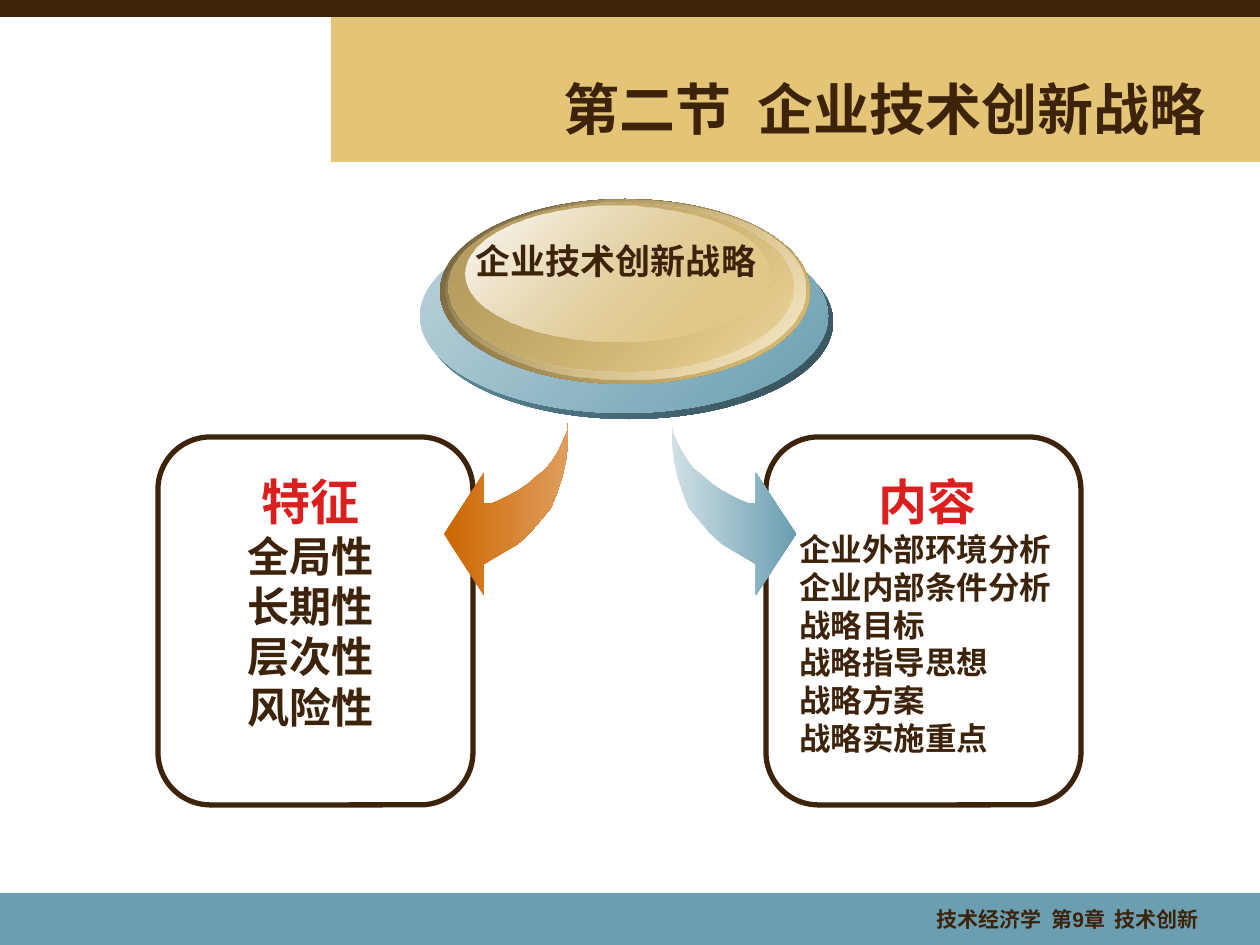
from lxml import etree
from pptx import Presentation
from pptx.dml.color import RGBColor
from pptx.enum.shapes import MSO_SHAPE as Shape
from pptx.enum.text import MSO_ANCHOR as Anchor, MSO_AUTO_SIZE as AutoSize, PP_ALIGN as Align
from pptx.oxml.ns import qn
from pptx.util import Pt

EMU_PER_PX = 914400 / 126
FONT = "Arial"

BROWN = RGBColor(0x3C, 0x23, 0x0A)
GOLD = RGBColor(0xE4, 0xC5, 0x78)
BLUE = RGBColor(0x6A, 0x9E, 0xB0)
RED = RGBColor(0xDB, 0x1F, 0x1F)
WHITE = RGBColor(0xFF, 0xFF, 0xFF)
ORANGE = RGBColor(0xCC, 0x66, 0x00)
LIGHT_ORANGE = RGBColor(0xDF, 0x9E, 0x5D)
PALE_BLUE = RGBColor(0xD0, 0xE0, 0xE6)
SOFT_BLUE = RGBColor(0xBD, 0xD4, 0xDC)
DARK_BLUE = RGBColor(0x34, 0x4D, 0x56)
DARK_GOLD = RGBColor(0x6A, 0x5B, 0x38)
DULL_GOLD = RGBColor(0xB5, 0x9C, 0x5F)
CREAM = RGBColor(0xF6, 0xEB, 0xD0)

# Layers of the disc, back to front: box, start and end colour, start and end opacity
DISC_LAYERS = [
    ((425, 225, 408, 194), BLUE, DARK_BLUE, 100, 100),
    ((420, 219, 408, 194), SOFT_BLUE, BLUE, 100, 100),
    ((440, 199, 370, 185), DARK_GOLD, GOLD, 100, 100),
    ((445, 200, 360, 180), GOLD, CREAM, 0, 100),
    ((449, 203, 344, 169), DULL_GOLD, GOLD, 100, 48),
    ((466, 206, 302, 136), WHITE, GOLD, 100, 38),
]

# Outline of the left arrow; the right one is its mirror image
ARROW = [
    (568, 423), (568, 444), (566, 461), (562, 478), (557, 493), (551, 508),
    (541, 520), (530, 533), (518, 544), (501, 554), (484, 564), (484, 595),
    (444, 534), (484, 473), (484, 504), (493, 503), (500, 500), (510, 495),
    (519, 490), (528, 484), (537, 476), (546, 469), (553, 460), (559, 450),
    (563, 441), (567, 432),
]
MIRROR_SUM = 1240

FEATURES = ["全局性", "长期性", "层次性", "风险性"]
CONTENTS = ["企业外部环境分析", "企业内部条件分析", "战略目标",
            "战略指导思想", "战略方案", "战略实施重点"]


def px(value):
    return round(value * EMU_PER_PX)


def place(box):
    return [px(value) for value in box]


def style_paragraph(paragraph, text, size, color, align):
    paragraph.text = text
    paragraph.alignment = align
    font = paragraph.font
    font.name, font.size, font.bold = FONT, Pt(size), True
    font.color.rgb = color


def add_text(slide, box, lines, wrap=True):
    """Each line is (text, size, colour, alignment)."""
    frame = slide.shapes.add_textbox(*place(box)).text_frame
    frame.word_wrap = wrap
    for index, line in enumerate(lines):
        paragraph = frame.add_paragraph() if index else frame.paragraphs[0]
        style_paragraph(paragraph, *line)


def add_band(slide, box, color):
    band = slide.shapes.add_shape(Shape.RECTANGLE, *place(box))
    band.shadow.inherit = False
    band.fill.solid()
    band.fill.fore_color.rgb = color
    band.line.fill.background()


def shade(shape, start, end, angle, opacities=(100, 100)):
    """Fill with a two-colour gradient, its angle measured clockwise."""
    shape.shadow.inherit = False
    shape.line.fill.background()
    shape.fill.gradient()
    shape.fill.gradient_angle = -angle % 360
    stops = shape.fill.gradient_stops
    for stop, color, position in zip(stops, (start, end), (0, 1)):
        stop.color.rgb = color
        stop.position = position
    gradient = shape._element.spPr.find(qn("a:gradFill"))
    for color, opacity in zip(gradient.iter(qn("a:srgbClr")), opacities):
        if opacity < 100:
            etree.SubElement(color, qn("a:alpha")).set("val", str(opacity * 1000))


def add_title(slide, text):
    title = slide.shapes.title
    title.left, title.top, title.width, title.height = place((551, 69, 688, 78))
    frame = title.text_frame
    frame.auto_size = AutoSize.NONE
    frame.vertical_anchor = Anchor.MIDDLE
    style_paragraph(frame.paragraphs[0], text, 32, BROWN, Align.LEFT)
    # Bring the title in front of the bands
    slide.shapes._spTree.append(title._element)


def add_panel(slide, left, text_box, heading, items, size, align):
    frame = slide.shapes.add_shape(Shape.ROUNDED_RECTANGLE, *place((left, 437, 315, 368)))
    frame.shadow.inherit = False
    frame.fill.background()
    frame.line.color.rgb = BROWN
    frame.line.width = Pt(3)
    lines = [(heading, 28, RED, Align.CENTER)]
    lines += [(item, size, BROWN, align) for item in items]
    add_text(slide, text_box, lines)


def add_arrow(slide, points, start, end):
    builder = slide.shapes.build_freeform(*points[0], scale=EMU_PER_PX)
    builder.add_line_segments(points[1:], close=True)
    shade(builder.convert_to_shape(), start, end, 0)


def add_disc(slide, label):
    for box, start, end, *opacities in DISC_LAYERS:
        ellipse = slide.shapes.add_shape(Shape.OVAL, *place(box))
        shade(ellipse, start, end, 45, opacities)
    add_text(slide, (459, 233, 314, 55), [(label, 20, BROWN, Align.CENTER)], wrap=False)


def main():
    prs = Presentation()
    prs.slide_width, prs.slide_height = px(1260), px(945)
    slide = prs.slides.add_slide(prs.slide_layouts[5])

    # Bands, footer and title
    add_band(slide, (331, 16, 929, 146), GOLD)
    add_band(slide, (0, 893, 1260, 52), BLUE)
    add_band(slide, (0, 0, 1260, 17), BROWN)
    add_text(slide, (775, 900, 436, 42),
             [("技术经济学  第9章  技术创新", 12, BROWN, Align.RIGHT)])
    add_title(slide, "第二节  企业技术创新战略")

    # Strategy disc with an arrow to each panel
    add_panel(slide, 158, (170, 465, 281, 273), "特征", FEATURES, 24, Align.CENTER)
    add_arrow(slide, ARROW, ORANGE, LIGHT_ORANGE)
    add_disc(slide, "企业技术创新战略")
    add_panel(slide, 766, (787, 465, 281, 299), "内容", CONTENTS, 18, Align.LEFT)
    add_arrow(slide, [(MIRROR_SUM - x, y) for x, y in ARROW], PALE_BLUE, BLUE)

    prs.save("out.pptx")


if __name__ == "__main__":
    main()
